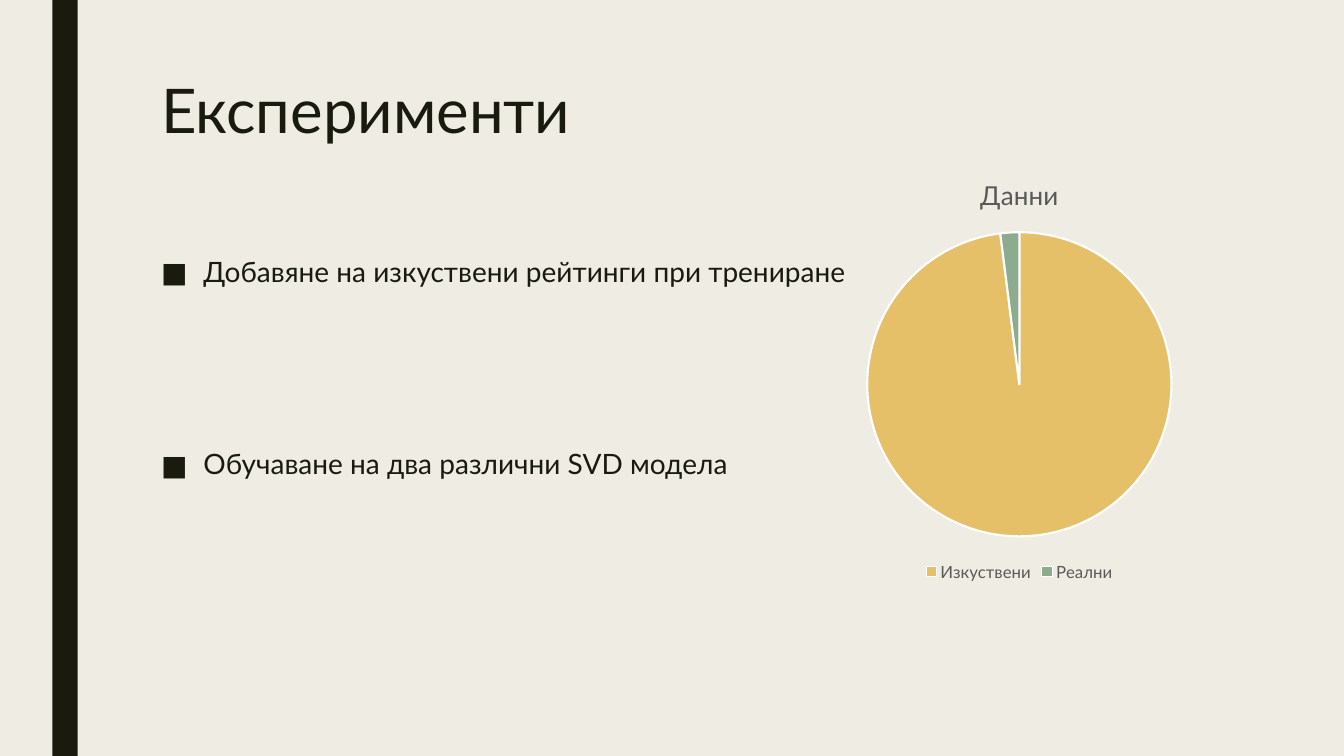
from dataclasses import dataclass

from lxml import etree
from pptx import Presentation
from pptx.chart.data import CategoryChartData
from pptx.dml.color import RGBColor
from pptx.enum.chart import XL_CHART_TYPE, XL_LEGEND_POSITION
from pptx.enum.shapes import MSO_SHAPE
from pptx.enum.text import MSO_ANCHOR, PP_ALIGN
from pptx.oxml.ns import qn
from pptx.slide import Slide
from pptx.text.text import Font, TextFrame, _Paragraph
from pptx.util import Inches, Pt

PIE = XL_CHART_TYPE.PIE
BOTTOM = XL_LEGEND_POSITION.BOTTOM
RECT = MSO_SHAPE.RECTANGLE
TOP = MSO_ANCHOR.TOP
LEFT = PP_ALIGN.LEFT

CREAM = RGBColor(0xEF, 0xED, 0xE3)
DARK = RGBColor(0x19, 0x1B, 0x0E)
GRAY = RGBColor(0x59, 0x59, 0x59)
GOLD = RGBColor(0xE6, 0xC0, 0x69)
GREEN = RGBColor(0x8D, 0xAB, 0x8E)
WHITE = RGBColor(0xFF, 0xFF, 0xFF)

FACE = "Lato"
INDENT = Inches(0.42)


@dataclass
class Point:
    text: str
    before: float


@dataclass
class Slice:
    name: str
    value: int
    color: RGBColor


POINTS = [
    Point("Добавяне на изкуствени рейтинги при трениране", 10),
    Point("Обучаване на два различни SVD модела", 113),
]
SLICES = [Slice("Изкуствени", 98, GOLD), Slice("Реални", 2, GREEN)]


def set_font(font: Font, size: float, color: RGBColor) -> None:
    font.name = FACE
    font.size = Pt(size)
    font.bold = False
    font.color.rgb = color


def add_frame(slide: Slide, top: float, height: float) -> TextFrame:
    box = slide.shapes.add_textbox(Inches(1.5), Inches(top), Inches(10.5), Inches(height))
    frame = box.text_frame
    frame.word_wrap = True
    frame.vertical_anchor = TOP
    return frame


def set_bullet(para: _Paragraph) -> None:
    props = para._p.get_or_add_pPr()
    props.set("marL", str(INDENT))
    props.set("indent", str(-INDENT))
    etree.SubElement(props, qn("a:buFont")).set("typeface", FACE)
    etree.SubElement(props, qn("a:buChar")).set("char", "■")


def add_bar(slide: Slide) -> None:
    bar = slide.shapes.add_shape(RECT, Inches(0.52), 0, Inches(0.25), Inches(7.5))
    bar.shadow.inherit = False
    bar.fill.solid()
    bar.fill.fore_color.rgb = DARK
    bar.line.fill.background()


def add_title(slide: Slide, text: str) -> None:
    para = add_frame(slide, 0.75, 1.62).paragraphs[0]
    para.text = text
    para.alignment = LEFT
    para.line_spacing = 0.89
    set_font(para.runs[0].font, 44, DARK)


def add_points(slide: Slide, points: list[Point]) -> None:
    frame = add_frame(slide, 2.5, 3.92)
    frame.text = "\n".join(point.text for point in points)
    for para, point in zip(frame.paragraphs, points):
        para.alignment = LEFT
        para.line_spacing = 0.94
        para.space_before = Pt(point.before)
        para.space_after = Pt(2)
        set_bullet(para)
        set_font(para.runs[0].font, 20, DARK)


def add_pie(slide: Slide, title: str, slices: list[Slice]) -> None:
    data = CategoryChartData()
    data.categories = [part.name for part in slices]
    data.add_series(title, [part.value for part in slices])
    chart = slide.shapes.add_chart(
        PIE, Inches(7.54), Inches(1.56), Inches(5.14), Inches(4.25), data
    ).chart
    chart.font.name = FACE
    chart.font.size = Pt(10)

    # Heading and legend
    chart.has_title = True
    head = chart.chart_title
    head.include_in_layout = False
    para = head.text_frame.paragraphs[0]
    para.text = title
    set_font(para.runs[0].font, 18.6, GRAY)
    chart.has_legend = True
    chart.legend.position = BOTTOM
    chart.legend.include_in_layout = False
    set_font(chart.legend.font, 12, GRAY)

    # Slices
    plot = chart.plots[0]
    plot.vary_by_categories = True
    for index, part in enumerate(slices):
        style = plot.series[0].points[index].format
        style.fill.solid()
        style.fill.fore_color.rgb = part.color
        style.line.color.rgb = WHITE
        style.line.width = Pt(1.5)


def main() -> None:
    deck = Presentation()
    deck.slide_width = Inches(13.33)
    deck.slide_height = Inches(7.5)
    slide = deck.slides.add_slide(deck.slide_layouts[6])
    slide.background.fill.solid()
    slide.background.fill.fore_color.rgb = CREAM

    add_bar(slide)
    add_title(slide, "Експерименти")
    add_points(slide, POINTS)
    add_pie(slide, "Данни", SLICES)
    deck.save("out.pptx")


if __name__ == "__main__":
    main()
